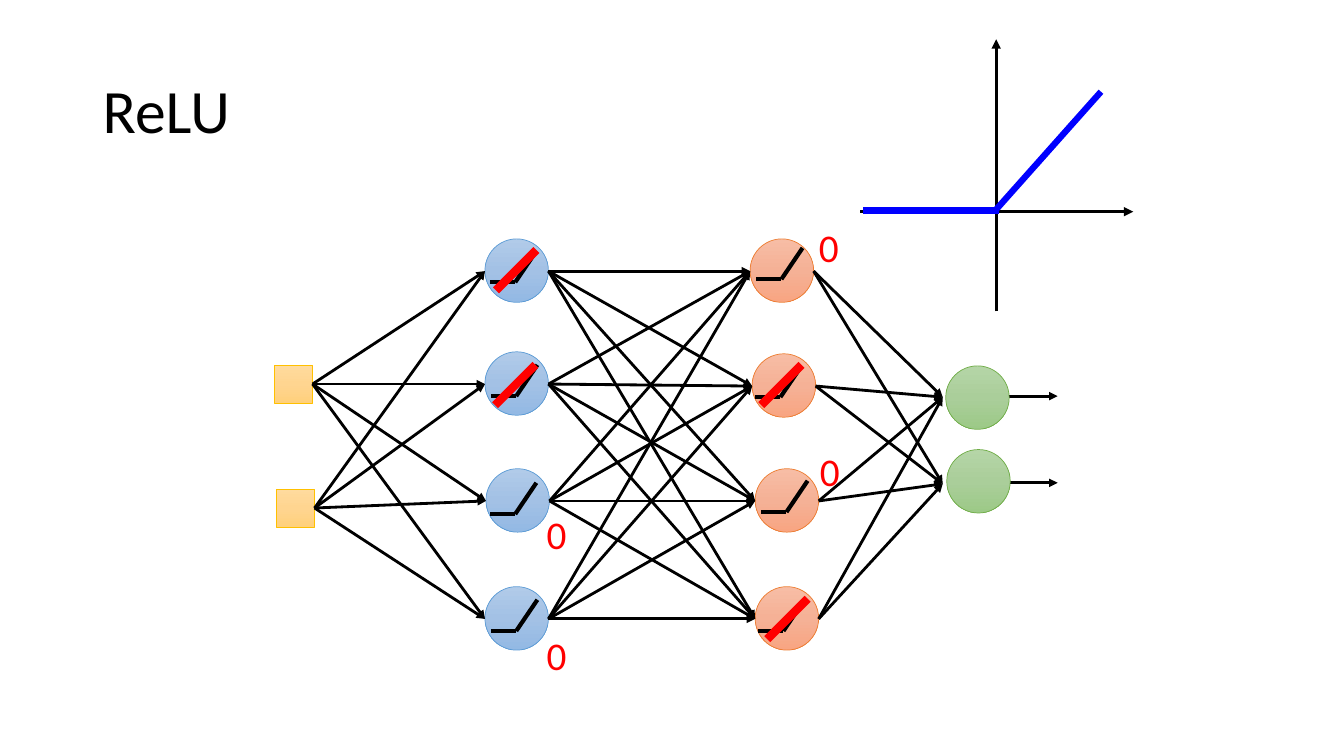
from copy import deepcopy
from itertools import product

from pptx import Presentation
from pptx import util as u
from pptx.dml.color import RGBColor
from pptx.enum import shapes, text
from pptx.oxml.ns import qn
from lxml import etree

PX = 9144  # EMU per px, 100 px to the inch

BLACK = RGBColor(0x00, 0x00, 0x00)
RED = RGBColor(0xFF, 0x00, 0x00)
BLUE = RGBColor(0x00, 0x00, 0xFF)

# Node styles: three gradient colours from top to bottom, then the outline
INPUT_COLOURS = (RGBColor(0xFF, 0xDB, 0x9E), RGBColor(0xFF, 0xD5, 0x90),
                 RGBColor(0xFF, 0xD0, 0x7C), RGBColor(0xFF, 0xC0, 0x00))
HIDDEN_1_COLOURS = (RGBColor(0xB1, 0xCB, 0xE9), RGBColor(0xA3, 0xC1, 0xE5),
                    RGBColor(0x93, 0xB9, 0xE4), RGBColor(0x5B, 0x9B, 0xD5))
HIDDEN_2_COLOURS = (RGBColor(0xF7, 0xBD, 0xA5), RGBColor(0xF5, 0xB1, 0x96),
                    RGBColor(0xF8, 0xA5, 0x82), RGBColor(0xED, 0x7D, 0x31))
OUTPUT_COLOURS = (RGBColor(0xB5, 0xD5, 0xA7), RGBColor(0xAA, 0xCE, 0x9A),
                  RGBColor(0x9C, 0xC9, 0x87), RGBColor(0x70, 0xAD, 0x47))

# Node positions (left, top) by layer
SQUARE, CIRCLE = 38, 63
INPUTS = [(272, 362), (274, 485)]
HIDDEN_1 = [(481, 237), (481, 349), (482, 465), (481, 582)]
HIDDEN_2 = [(744, 237), (746, 351), (749, 465), (749, 582)]
OUTPUTS = [(938, 363), (939, 446)]
OUTPUT_PORTS = [(935, 394), (935, 480)]
OUTPUT_ARROWS = [((970, 393), (1049, 393)), ((972, 479), (1049, 479))]

# Marks on the hidden nodes
RELU_BENDS = [(511, 280), (512, 393), (511, 510), (512, 626),
              (775, 277), (774, 394), (780, 508), (777, 626)]
STRIKE_TOPS = [(532, 248), (531, 362), (795, 362), (801, 594)]
ZEROS = [(524, 501), (524, 621), (794, 217), (795, 439)]


def set_values(target, values):
    for name, value in values.items():
        setattr(target, name, value)


def add_line(slide, start, end, colour=BLACK, width=2, arrow=False):
    ends = [value * PX for value in (*start, *end)]
    connector = slide.shapes.add_connector(shapes.MSO_CONNECTOR.STRAIGHT, *ends)
    connector.line.color.rgb = colour
    connector.line.width = u.Pt(width)
    properties = connector._element.spPr
    if arrow:
        outline = properties.find(qn("a:ln"))
        etree.SubElement(outline, qn("a:tailEnd"), type="triangle")
    etree.SubElement(properties, qn("a:effectLst"))


def add_text(slide, box, words, values, frame_values):
    shape = slide.shapes.add_textbox(*(value * PX for value in box))
    set_values(shape.text_frame, {"word_wrap": True, **frame_values})
    paragraph = shape.text_frame.paragraphs[0]
    paragraph.text = words
    set_values(paragraph.font, {"name": "Calibri", "size": u.Pt(values["size"])})
    paragraph.font.color.rgb = values["colour"]
    set_values(paragraph, values["paragraph"])


def add_node(slide, kind, position, size, colours):
    left, top = position
    shape = slide.shapes.add_shape(kind, left * PX, top * PX, size * PX, size * PX)
    shape.shadow.inherit = False
    shape.fill.gradient()
    shape.fill.gradient_angle = 270
    stop_list = shape._element.spPr.find(".//" + qn("a:gsLst"))
    stop_list.insert(1, deepcopy(stop_list[0]))
    *gradient, outline = colours
    for index, stop in enumerate(shape.fill.gradient_stops):
        stop.position = index / 2
        stop.color.rgb = gradient[index]
    shape.line.color.rgb = outline
    shape.line.width = u.Pt(0.5)


def left_ports(layer):
    return [(left, top + 32) for left, top in layer]


def right_ports(layer, size):
    return [(left + size, top + (size + 1) // 2) for left, top in layer]


def add_links(slide, sources, targets):
    for start, end in product(sources, targets):
        add_line(slide, start, end, arrow=True)


def add_relu_mark(slide, bend):
    x, y = bend
    add_line(slide, (x - 25, y), bend, width=3)
    add_line(slide, bend, (x + 21, y - 31), width=3)


def add_relu_plot(slide):
    add_line(slide, (853, 210), (1124, 210), width=2.25, arrow=True)
    add_line(slide, (988, 309), (988, 39), width=2.25, arrow=True)
    add_line(slide, (856, 209), (991, 209), BLUE, 4.5)
    add_line(slide, (987, 209), (1092, 91), BLUE, 4.5)


def main():
    presentation = Presentation()
    set_values(presentation, {"slide_width": 1333 * PX, "slide_height": 750 * PX})
    slide = presentation.slides.add_slide(presentation.slide_layouts[6])

    # Title
    add_text(slide, (92, 40, 1150, 145), "ReLU",
             {"size": 44, "colour": BLACK, "paragraph": {"line_spacing": 0.9}},
             {"vertical_anchor": text.MSO_ANCHOR.MIDDLE})

    # Output arrows, partly behind the nodes
    for start, end in OUTPUT_ARROWS:
        add_line(slide, start, end, arrow=True)

    # Nodes
    square, circle = shapes.MSO_SHAPE.RECTANGLE, shapes.MSO_SHAPE.OVAL
    for kind, layer, size, colours in (
            (square, INPUTS, SQUARE, INPUT_COLOURS),
            (circle, HIDDEN_1, CIRCLE, HIDDEN_1_COLOURS),
            (circle, HIDDEN_2, CIRCLE, HIDDEN_2_COLOURS),
            (circle, OUTPUTS, CIRCLE, OUTPUT_COLOURS)):
        for position in layer:
            add_node(slide, kind, position, size, colours)

    # Links between neighbouring layers
    add_links(slide, right_ports(INPUTS, SQUARE), left_ports(HIDDEN_1))
    add_links(slide, right_ports(HIDDEN_1, CIRCLE), left_ports(HIDDEN_2))
    add_links(slide, right_ports(HIDDEN_2, CIRCLE), OUTPUT_PORTS)

    # Activation marks and zero outputs
    for bend in RELU_BENDS:
        add_relu_mark(slide, bend)
    for left, top in ZEROS:
        add_text(slide, (left, top, 56, 57), "0",
                 {"size": 28, "colour": RED,
                  "paragraph": {"alignment": text.PP_ALIGN.CENTER}},
                 {"auto_size": text.MSO_AUTO_SIZE.SHAPE_TO_FIT_TEXT})

    # ReLU plot
    add_relu_plot(slide)

    # Strikes over the active nodes
    for x, y in STRIKE_TOPS:
        add_line(slide, (x, y), (x - 40, y + 40), RED, 6)

    presentation.save("out.pptx")


if __name__ == "__main__":
    main()
